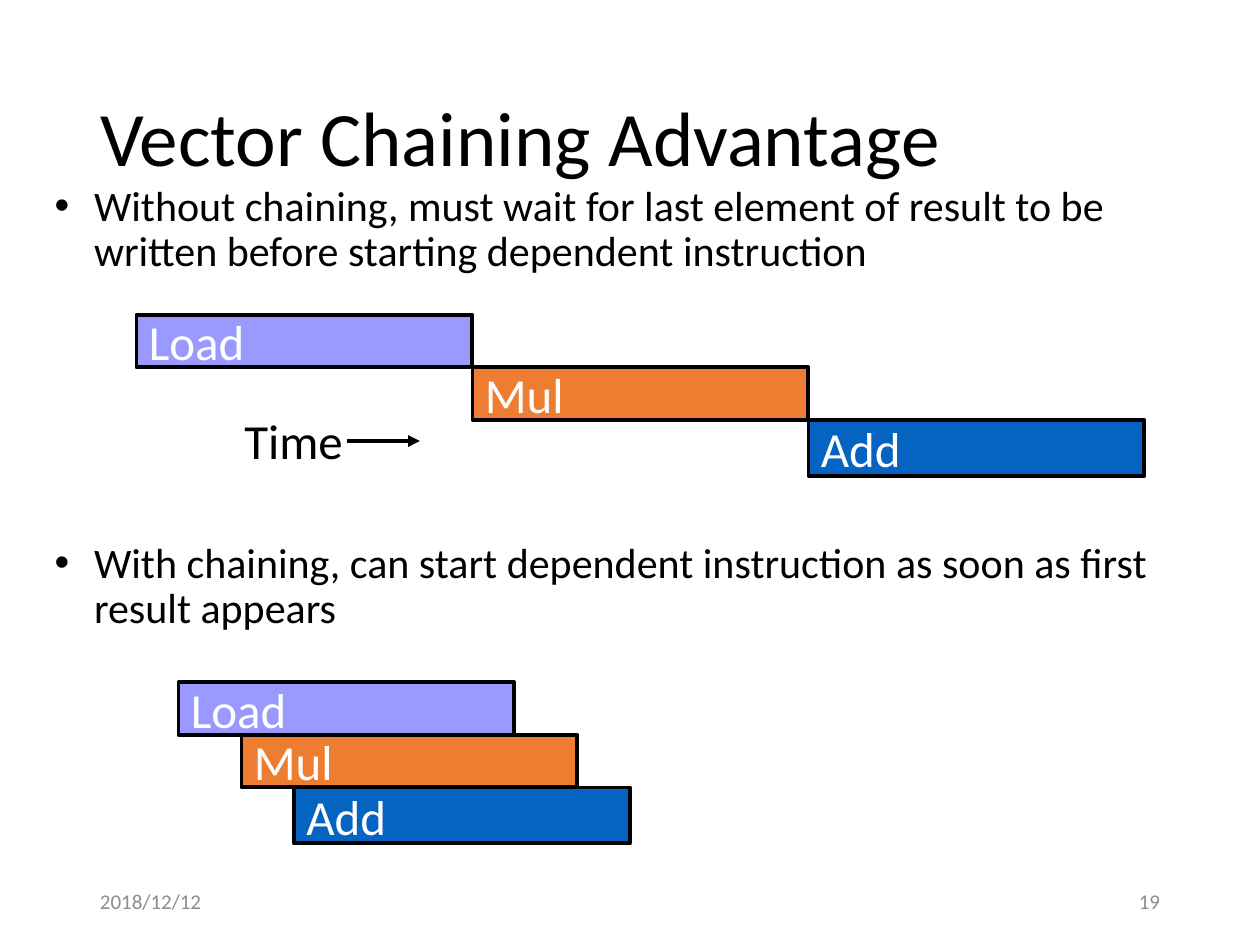
from pptx import Presentation
from pptx import util as u
from pptx.dml.color import RGBColor
from pptx.enum import shapes, text
from pptx.oxml.ns import qn
from lxml import etree

Pt = u.Pt
THEME = {
    "font": "Calibri", "title": 44, "body": 24, "label": 28, "foot": 12,
    "black": "000000", "white": "FFFFFF", "grey": "8C8C8C", "edge": 2.25,
}
LEFT, RIGHT = text.PP_ALIGN.LEFT, text.PP_ALIGN.RIGHT

# Content: places are (left, top, width, height) in points
TITLE = ("Vector Chaining Advantage", (50, 29, 620, 104))
POINTS = [
    ("Without chaining, must wait for last element of result to be "
     "written before starting dependent instruction", (24, 101.5, 672, 60.5)),
    ("With chaining, can start dependent instruction as soon as first "
     "result appears", (24, 305.5, 672, 60.5)),
]
STEPS = [("Load", "9999FF", 30), ("Mul", "ED7D31", 30), ("Add", "0563C1", 32)]
CHARTS = [(180, (78, 270, 462)), (390, (102, 138, 168))]  # top, bar starts
BAR_W, ROW_H = 192, 30
TIME = ("Time", (132.5, 231, 71, 41))
ARROW = (198, 252, 240, 252)
FEET = [("2018/12/12", (50, 500.5, 162, 29), LEFT),
        ("19", (508, 500.5, 162, 29), RIGHT)]


def rgb(name):
    return RGBColor.from_string(THEME.get(name, name))


def place(shape, box):
    for name, val in zip(("left", "top", "width", "height"), box):
        setattr(shape, name, Pt(val))


def write(shape, words, size, color, align=LEFT, wrap=True, **para):
    frame = shape.text_frame
    frame.text = words
    look = {"word_wrap": wrap, "auto_size": text.MSO_AUTO_SIZE.NONE,
            "vertical_anchor": text.MSO_ANCHOR.MIDDLE}
    for name, val in look.items():
        setattr(frame, name, val)
    line = frame.paragraphs[0]
    for name, val in {"alignment": align, **para}.items():
        setattr(line, name, val)
    font = line.runs[0].font
    font.name, font.size = THEME["font"], Pt(THEME[size])
    font.color.rgb = rgb(color)
    return line


def bullet(line, gap):
    props = line._p.get_or_add_pPr()
    props.set("marL", str(Pt(gap)))
    props.set("indent", str(-Pt(gap)))
    etree.SubElement(props, qn("a:buFont")).set("typeface", "Arial")
    etree.SubElement(props, qn("a:buChar")).set("char", "•")


def note(slide, words, box, size, color, **look):
    shape = slide.shapes.add_textbox(*map(Pt, box))
    write(shape, words, size, color, **look)


def bar(slide, words, fill, box):
    shape = slide.shapes.add_shape(
        shapes.MSO_SHAPE.RECTANGLE, *map(Pt, box))
    shape.shadow.inherit = False
    shape.fill.solid()
    shape.fill.fore_color.rgb = rgb(fill)
    shape.line.color.rgb = rgb("black")
    shape.line.width = Pt(THEME["edge"])
    write(shape, words, "label", "white")


def arrow(slide, ends):
    link = slide.shapes.add_connector(
        shapes.MSO_CONNECTOR.STRAIGHT, *map(Pt, ends))
    link.line.color.rgb = rgb("black")
    link.line.width = Pt(THEME["edge"])
    etree.SubElement(link.line._get_or_add_ln(),
                     qn("a:tailEnd")).set("type", "triangle")
    etree.SubElement(link._element.spPr, qn("a:effectLst"))


def main():
    deck = Presentation()
    deck.slide_width, deck.slide_height = Pt(720), Pt(540)
    slide = deck.slides.add_slide(deck.slide_layouts[3])  # title, two bodies
    title, *bodies = slide.placeholders

    words, box = TITLE
    place(title, box)
    write(title, words, "title", "black", line_spacing=0.9)
    for body, (words, box) in zip(bodies, POINTS):
        place(body, box)
        line = write(body, words, "body", "black",
                     line_spacing=0.9, space_before=Pt(0))
        bullet(line, 22.5)

    for top, starts in CHARTS:
        for row, (left, (words, fill, high)) in enumerate(zip(starts, STEPS)):
            bar(slide, words, fill, (left, top + row * ROW_H, BAR_W, high))

    arrow(slide, ARROW)
    note(slide, *TIME, "label", "black", wrap=False)
    for words, box, align in FEET:
        note(slide, words, box, "foot", "grey", align=align)
    deck.save("out.pptx")


if __name__ == "__main__":
    main()
